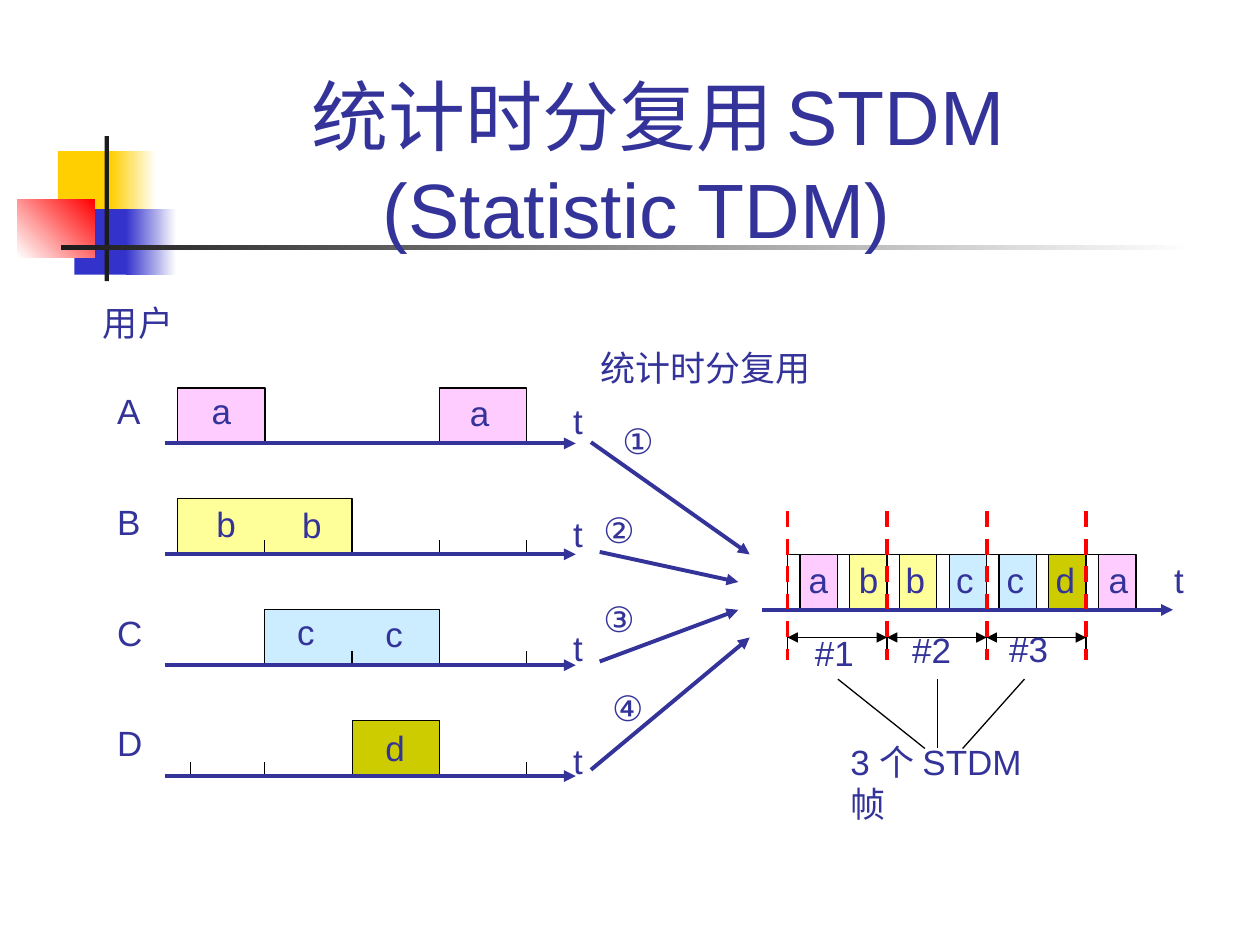
"""Builds the slide on statistical time-division multiplexing."""
import pptx
import pptx.dml.color
import pptx.enum.dml
import pptx.enum.shapes
import pptx.enum.text
import pptx.oxml
import pptx.oxml.ns
import pptx.util

Pt = pptx.util.Pt
COLORS = {
    "navy": "333399", "black": "000000", "dark": "1C1C1C", "white": "FFFFFF",
    "gold": "FFCF01", "blue": "3333CC", "red": "FF0000",
    "a": "FFCCFF", "b": "FFFF99", "c": "CCECFF", "d": "CCCC00",
}
RGB = {k: pptx.dml.color.RGBColor.from_string(v) for k, v in COLORS.items()}

prs = pptx.Presentation()
prs.slide_width, prs.slide_height = Pt(720), Pt(540)
s = prs.slides.add_slide(prs.slide_layouts[6])


def add_text(text, x, y, w, h=31, wrap=False):
    tb = s.shapes.add_textbox(Pt(x), Pt(y), Pt(w), Pt(h))
    tf = tb.text_frame
    tf.word_wrap = wrap
    tf.auto_size = pptx.enum.text.MSO_AUTO_SIZE.SHAPE_TO_FIT_TEXT
    tf.text = text
    f = tf.paragraphs[0].runs[0].font
    f.name, f.size, f.color.rgb = "Arial", Pt(20), RGB["navy"]


def add_line(x1, y1, x2, y2, color="black", width=0.75, ends=(), dash=False):
    cn = s.shapes.add_connector(pptx.enum.shapes.MSO_CONNECTOR.STRAIGHT,
                                Pt(x1), Pt(y1), Pt(x2), Pt(y2))
    cn.line.color.rgb, cn.line.width = RGB[color], Pt(width)
    if dash:
        cn.line.dash_style = pptx.enum.dml.MSO_LINE.DASH
    ln = cn.line._get_or_add_ln()
    for end in ends:
        ln.append(pptx.oxml.parse_xml(
            f'<a:{end} {pptx.oxml.ns.nsdecls("a")} type="triangle"/>'))
    cn._element.spPr.append(pptx.oxml.parse_xml(
        f'<a:effectLst {pptx.oxml.ns.nsdecls("a")}/>'))


for x, y, w, h, start, end, angle in [
    (33.1, 86.4, 34.6, 37.4, "gold", None, 0),
    (63.4, 86.4, 25.9, 37.4, "gold", "white", 0),
    (42.5, 119.5, 33.1, 37.4, "blue", None, 0),
    (72, 119.5, 28.8, 37.4, "blue", "white", 0),
    (10, 113.8, 44, 33.1, "white", "red", 45),
    (59.8, 77.8, 2.4, 82.8, "dark", None, 0),
    (34.6, 140.2, 648, 2.5, "dark", "white", 0),
]:
    sp = s.shapes.add_shape(pptx.enum.shapes.MSO_SHAPE.RECTANGLE,
                            Pt(x), Pt(y), Pt(w), Pt(h))
    sp.shadow.inherit = False
    sp.line.fill.background()
    if end:
        sp.fill.gradient()
        sp.fill.gradient_angle = angle
        for stop, color in zip(sp.fill.gradient_stops, (start, end)):
            stop.color.rgb = RGB[color]
    else:
        sp.fill.solid()
        sp.fill.fore_color.rgb = RGB[start]

tf = s.shapes.add_textbox(Pt(48.2), Pt(16.6), Pt(656), Pt(131.8)).text_frame
tf.word_wrap = True
tf.vertical_anchor = pptx.enum.text.MSO_ANCHOR.BOTTOM
title_lines = [[("统计时分复用", 44), (" ", 32), ("STDM", 44)],
               [("(Statistic TDM)", 44)]]
for i, runs in enumerate(title_lines):
    p = tf.add_paragraph() if i else tf.paragraphs[0]
    p.alignment = pptx.enum.text.PP_ALIGN.CENTER
    if i:
        p._p.get_or_add_pPr().set("marR", str(Pt(24.5)))
    for text, size in runs:
        r = p.add_run()
        r.text = text
        r.font.name, r.font.size = "Arial", Pt(size)
        r.font.color.rgb = RGB["navy"]

BLOCK = 31.7
lanes = [253.4 + 63.36 * i for i in range(4)]
cols = [101.5 + 49.86 * i for i in range(5)]
MUX_Y, PERIOD, GAP = 348.5, 28.44, 7.1
slots = [450 + PERIOD * i for i in range(7)]
frames = slots[::2]

blocks = [(cols[c], cols[c + n], lanes[row], key) for row, c, n, key in [
    (0, 0, 1, "a"), (0, 3, 1, "a"), (1, 0, 2, "b"), (2, 1, 2, "c"), (3, 2, 1, "d")]]
for x, key in zip(slots, "abbccda"):
    blocks += [(x + GAP, x + PERIOD, MUX_Y, key), (x, x + GAP, MUX_Y, None)]
for x1, x2, y, key in blocks:
    fb = s.shapes.build_freeform(Pt(x1), Pt(y))
    fb.add_line_segments([(Pt(x1), Pt(y - BLOCK)), (Pt(x2), Pt(y - BLOCK)),
                          (Pt(x2), Pt(y))], close=False)
    sp = fb.convert_to_shape()
    sp.shadow.inherit = False
    sp.line.color.rgb, sp.line.width = RGB["black"], Pt(0.75)
    if key:
        sp.fill.solid()
        sp.fill.fore_color.rgb = RGB[key]
    else:
        sp.fill.background()

ticks = [(cols[c], lanes[row]) for row, c in
         [(1, 1), (1, 3), (1, 4), (2, 2), (2, 4), (3, 1), (3, 4)]]
ticks += [(108.7, lanes[3])]
ticks += [(x, MUX_Y) for x in (slots[2] + GAP, slots[3], slots[6])]
for x, y in ticks:
    add_line(x, y - 8, x, y)

for x in frames:
    add_line(x, 356.4, x, 372.2)
for x1, x2 in zip(frames, frames[1:]):
    add_line(x1, 364.3, x2, 364.3, ends=("headEnd", "tailEnd"))
for x1, x2 in [(478.8, 528.5), (535.7, 535.7), (585.4, 550.1)]:
    add_line(x1, 388.1, x2, 427.7)

arrows = [(94.3, y, 329, y) for y in lanes] + [
    (435.6, MUX_Y, 670.3, MUX_Y),
    (337.7, 252.7, 428.4, 316.8), (342.7, 315.4, 421.9, 332.6),
    (342.7, 378, 421.9, 348.5), (337.7, 439.9, 428.4, 364.3)]
for ends in arrows:
    add_line(*ends, color="navy", width=2.25, ends=("tailEnd",))

for i, name in enumerate("ABCD"):
    add_text(name, 59.8, 218.9 + 63.36 * i, 28.4)
    add_text("t", 320.4, 224.6 + 64.8 * i, 20.2)
for text, x, y in [("a", 113.8, 218.9), ("a", 261.4, 220.3),
                   ("b", 116.6, 283.7), ("b", 165.6, 284.4),
                   ("c", 162.7, 345.6), ("c", 213.1, 346.3), ("d", 213.1, 411.8)]:
    add_text(text, x, y, 25.9)
for text, x in zip("abbccda", [455, 483.8, 510.5, 539.3, 568.1, 596.2, 626.4]):
    add_text(text, x, 315.4, 25.9)
for text, x, y, w in [
    ("t", 663.8, 315.4, 20.2), ("用户", 51.8, 168.5, 54.7),
    ("统计时分复用", 336.2, 194.4, 134.6),
    ("①", 348.5, 236.2, 34.6), ("②", 337.7, 287.3, 34.6),
    ("③", 337.7, 337.7, 34.6), ("④", 342.7, 388.8, 34.6),
    ("#1", 458.6, 357.1, 36.7), ("#2", 514.1, 355.7, 36.7), ("#3", 569.5, 355, 36.7),
]:
    add_text(text, x, y, w)
add_text("3 个 STDM 帧", 478.8, 419.8, 130, 55, wrap=True)

for x in frames:
    add_line(x, 292.3, x, 377.3, color="red", width=2.25, dash=True)

prs.save("out.pptx")
